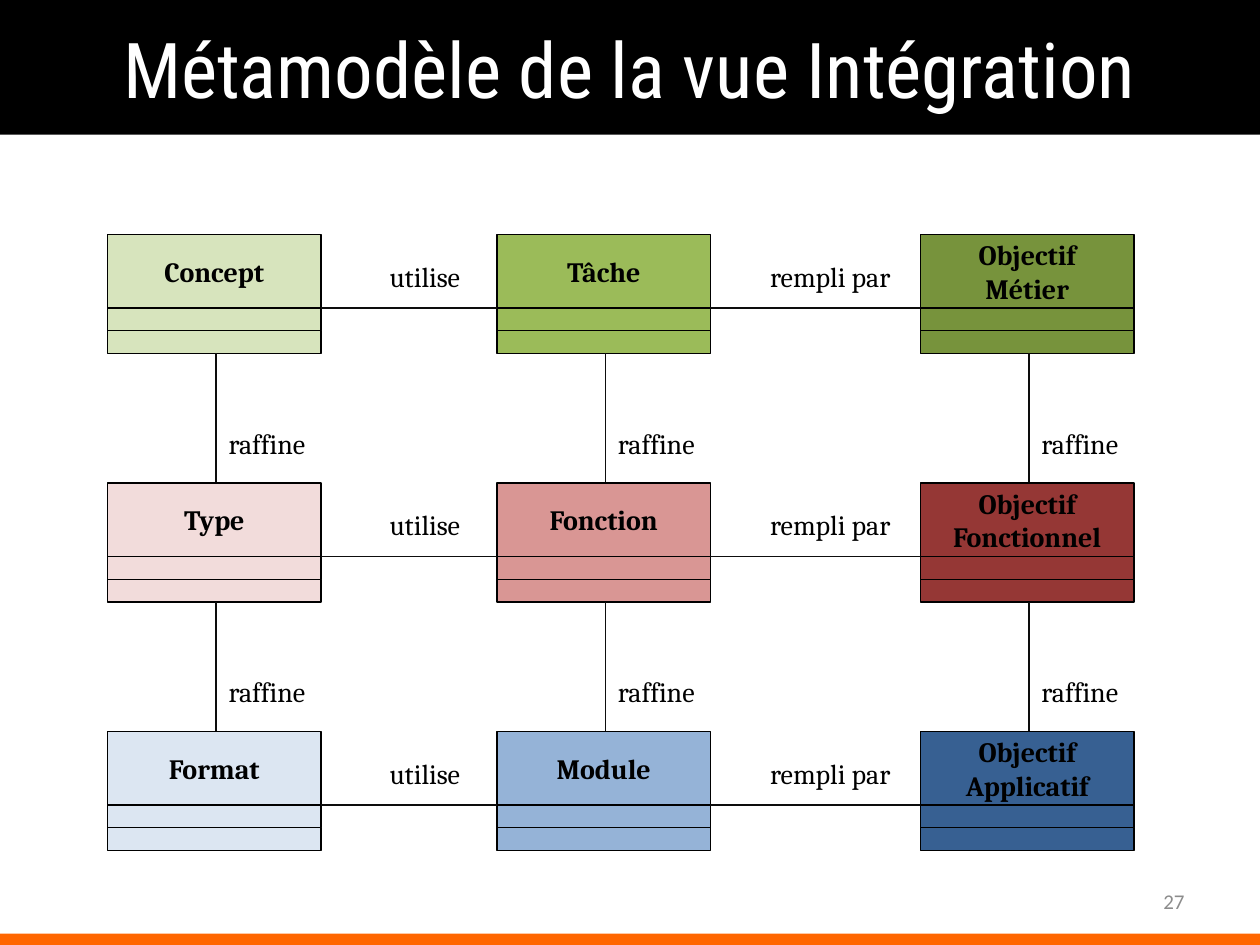
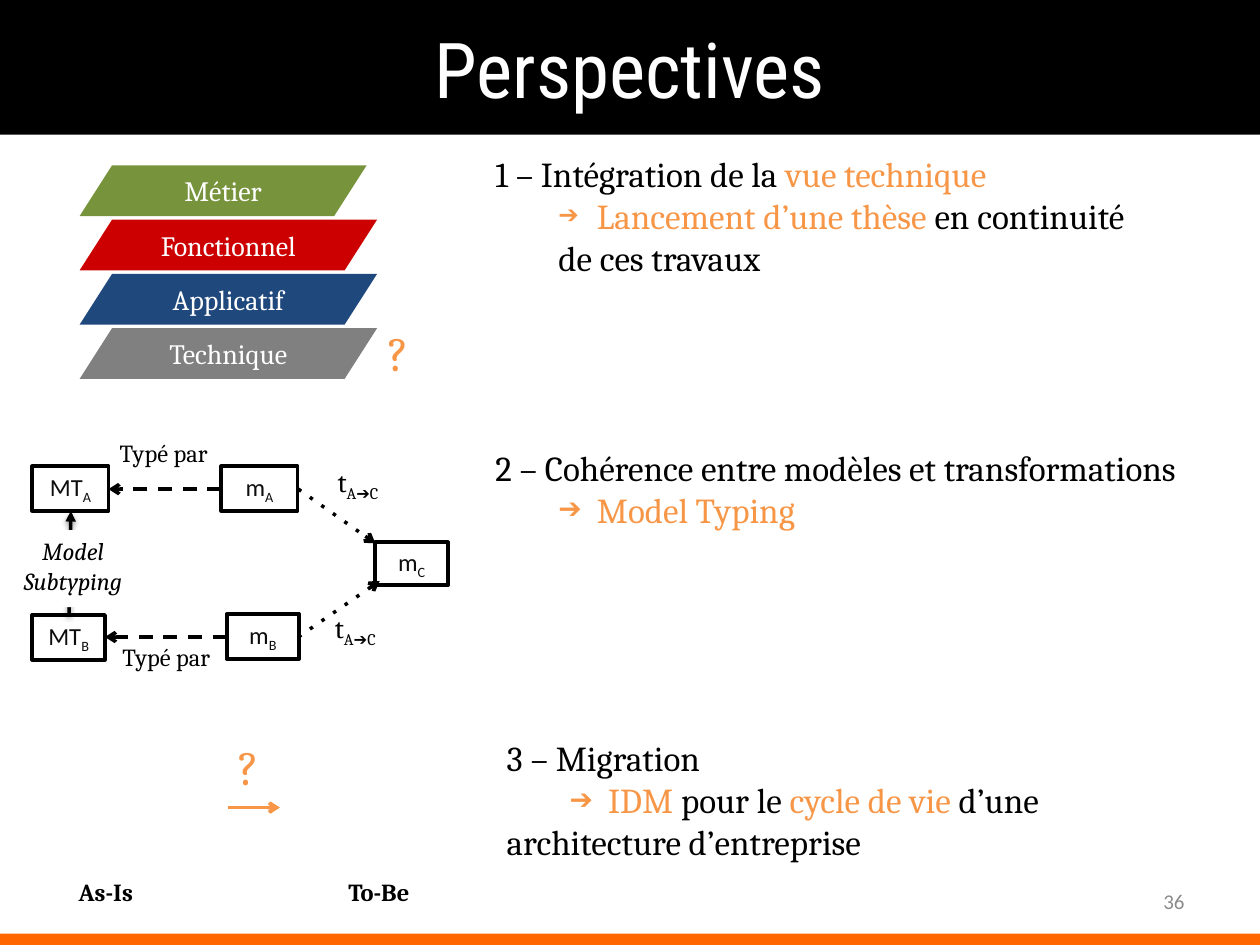
from lxml import etree
from pptx import Presentation
from pptx.dml.color import RGBColor
from pptx.enum.shapes import MSO_CONNECTOR, MSO_SHAPE
from pptx.enum.text import MSO_ANCHOR, MSO_AUTO_SIZE, PP_ALIGN
from pptx.oxml.ns import qn
from pptx.util import Pt

RECT, PARALLELOGRAM = MSO_SHAPE.RECTANGLE, MSO_SHAPE.PARALLELOGRAM
STRAIGHT = MSO_CONNECTOR.STRAIGHT
LEFT, CENTER, RIGHT = PP_ALIGN.LEFT, PP_ALIGN.CENTER, PP_ALIGN.RIGHT
TOP, MIDDLE = MSO_ANCHOR.TOP, MSO_ANCHOR.MIDDLE
NO_AUTOFIT = MSO_AUTO_SIZE.NONE

COLORS = {
    "black": "000000", "white": "FFFFFF", "ink": "0D0D0D", "number": "8C8C8C",
    "band": "FF6600", "accent": "F79646", "green": "77933C", "red": "CC0000",
    "navy": "1F497D", "gray": "808080",
}
TITLE_FONT, BODY_FONT, MODEL_FONT, SYMBOL_FONT = "Roboto Condensed", "Cambria", "Calibri", "Arial"
WIDTH, HEIGHT = 720, 540

CLASS_ROWS = [
    [("Concept", "D7E4BD"), ("Tâche", "9BBB59"), ("Objectif\nMétier", "77933C")],
    [("Type", "F2DCDB"), ("Fonction", "D99694"), ("Objectif Fonctionnel", "953735")],
    [("Format", "DCE6F2"), ("Module", "95B3D7"), ("Objectif\nApplicatif", "376092")],
]
COLUMN_LEFTS = [61.5, 284, 526]
FIRST_ROW, ROW_PITCH = 134, 142
CLASS_WIDTH, HEADER_HEIGHT, SLOT_HEIGHT = 122, 42, 13
CLASS_HEIGHT = HEADER_HEIGHT + 2 * SLOT_HEIGHT
ACROSS_LABELS = [("utilise", 154, 70), ("rempli par", 149, 90)]
DOWN_LABEL = "raffine"

LAYERS = [("Métier", "green", 164), ("Fonctionnel", "red", 170),
          ("Applicatif", "navy", 170), ("Technique", "gray", 170)]

PERSPECTIVES = [
    ((276, 83.5, 420, 80), [
        (None, [("1 – Intégration de la ", "black"), ("vue technique", "accent")]),
        (70, [("Lancement d’une thèse ", "accent"), ("en continuité", "black")]),
        (0, [("de ces travaux", "black")]),
    ]),
    ((276, 251.5, 444, 55), [
        (None, [("2 – Cohérence entre modèles et transformations", "black")]),
        (80, [("Model Typing", "accent")]),
    ]),
    ((282.5, 417.5, 413, 90), [
        (None, [("3 – Migration", "black")]),
        (80, [("IDM ", "accent"), ("pour le ", "black"),
              ("cycle de vie ", "accent"), ("d’une", "black")]),
        (None, [("architecture d’entreprise", "black")]),
    ]),
]
SUB_LEFT, BULLET_GAP = 36, 22

MODELS = [
    ("MT", "A", (18.5, 266.5, 43.5, 25.5)), ("MT", "B", (18.5, 351.5, 41.5, 25.5)),
    ("m", "A", (126.5, 266.5, 43.5, 25.5)), ("m", "B", (129.5, 351, 41.5, 25.5)),
    ("m", "C", (214.5, 310, 41.5, 24.5)),
]
MODEL_LINKS = [
    ((126.5, 279.5), (62, 279.5), "dash"), ((129.5, 364), (60, 364), "dash"),
    ((170.5, 279.5), (214.5, 310.5), "dot"), ((170.5, 364), (217, 332), "dot"),
]
TRANSFORMATIONS = [(173, 262), (171.5, 345.5)]
TYPINGS = [(54, 247), (55.5, 363.5)]
QUESTIONS = [(214.5, 180.5), (129, 417.5)]
STATES = [("As-Is", 22.5), ("To-Be", 178.5)]


def rgb(name):
    return RGBColor.from_string(COLORS.get(name, name))


def style(font, size, color, family=BODY_FONT, bold=False, italic=False):
    font.size, font.name, font.bold, font.italic = Pt(size), family, bold, italic
    font.color.rgb = rgb(color)


def write(box, text, size, color, align=LEFT, anchor=TOP, **look):
    frame = box.text_frame
    frame.word_wrap, frame.vertical_anchor = True, anchor
    frame.text = text
    for para in frame.paragraphs:
        para.alignment = align
        style(para.font, size, color, **look)
    return frame.paragraphs[0]


def add_text(page, place, text, size, color="black", **look):
    box = page.shapes.add_textbox(*map(Pt, place))
    return write(box, text, size, color, **look)


def add_box(page, place, fill=None, line=None, weight=0.75, kind=RECT):
    box = page.shapes.add_shape(kind, *map(Pt, place))
    box.shadow.inherit = False
    if fill:
        box.fill.solid()
        box.fill.fore_color.rgb = rgb(fill)
    else:
        box.fill.background()
    if line:
        box.line.color.rgb = rgb(line)
        box.line.width = Pt(weight)
    else:
        box.line.fill.background()
    return box


def add_line(page, start, end, color, weight, dash=None, arrow=None):
    line = page.shapes.add_connector(STRAIGHT, *map(Pt, start + end))
    line.line.color.rgb = rgb(color)
    line.line.width = Pt(weight)
    outline = line.line._get_or_add_ln()
    if dash:
        etree.SubElement(outline, qn("a:prstDash"), val=dash)
    if arrow:
        etree.SubElement(outline, qn("a:tailEnd"), type=arrow)
    return etree.SubElement(line._element.spPr, qn("a:effectLst"))


def add_shadow(effects):
    shadow = etree.SubElement(effects, qn("a:outerShdw"), blurRad=str(Pt(3.1)),
                              dist=str(Pt(1.6)), dir="5400000", rotWithShape="0")
    color = etree.SubElement(shadow, qn("a:srgbClr"), val=COLORS["black"])
    etree.SubElement(color, qn("a:alpha"), val="38000")


def add_subscript(para, text, family=None):
    span = para.add_run()
    span.text = text
    span.font._element.set("baseline", "-25000")
    if family:
        span.font.name = family


def indent(para, bullet_size):
    props = para._p.get_or_add_pPr()
    if not bullet_size:
        props.set("marL", str(Pt(SUB_LEFT)))
        return
    props.set("marL", str(Pt(SUB_LEFT + BULLET_GAP)))
    props.set("indent", str(-Pt(BULLET_GAP)))
    color = etree.SubElement(props, qn("a:buClr"))
    etree.SubElement(color, qn("a:srgbClr"), val=COLORS["accent"])
    etree.SubElement(props, qn("a:buSzPct"), val=str(bullet_size * 1000))
    etree.SubElement(props, qn("a:buFont"), typeface=SYMBOL_FONT)
    etree.SubElement(props, qn("a:buChar"), char="➔")


def add_page(deck, title, number):
    page = deck.slides.add_slide(deck.slide_layouts[5])
    heading = page.shapes.title
    heading.left, heading.top, heading.width, heading.height = map(Pt, (0, 0, WIDTH, 77))
    heading.fill.solid()
    heading.fill.fore_color.rgb = rgb("black")
    heading.text_frame.auto_size = NO_AUTOFIT
    write(heading, title, 44, "white", align=CENTER, anchor=MIDDLE, family=TITLE_FONT)
    add_text(page, (516, 500.5, 168, 28.5), number, 12, "number",
             align=RIGHT, anchor=MIDDLE, family=MODEL_FONT)
    add_box(page, (0, 533.5, WIDTH, HEIGHT - 533.5), "band")
    return page


def add_class(page, left, top, name, fill):
    header = add_box(page, (left, top, CLASS_WIDTH, HEADER_HEIGHT), fill, "black")
    write(header, name, 16, "black", align=CENTER, anchor=MIDDLE, bold=True)
    for slot in range(2):
        slot_top = top + HEADER_HEIGHT + slot * SLOT_HEIGHT
        add_box(page, (left, slot_top, CLASS_WIDTH, SLOT_HEIGHT), fill, "black")


def build_metamodel(deck):
    page = add_page(deck, "Métamodèle de la vue Intégration", "27")
    for row, classes in enumerate(CLASS_ROWS):
        top = FIRST_ROW + row * ROW_PITCH
        for left, (name, fill) in zip(COLUMN_LEFTS, classes):
            add_class(page, left, top, name, fill)
            if row < len(CLASS_ROWS) - 1:
                middle = left + CLASS_WIDTH / 2 + 1
                add_line(page, (middle, top + CLASS_HEIGHT), (middle, top + ROW_PITCH), "ink", 1)
                add_text(page, (middle, top + 106, 70, 26.5), DOWN_LABEL, 16)
        for column, (label, offset, width) in enumerate(ACROSS_LABELS):
            left, following = COLUMN_LEFTS[column:column + 2]
            joint = top + HEADER_HEIGHT
            add_line(page, (left + CLASS_WIDTH, joint), (following, joint), "ink", 1)
            add_text(page, (left + offset, top + 10.5, width, 26.5), label, 16)


def add_model_diagram(page):
    for name, mark, place in MODELS:
        model = add_box(page, place, line="black", weight=2.25)
        para = write(model, name, 14, "ink", align=CENTER, anchor=MIDDLE, family=MODEL_FONT)
        add_subscript(para, mark)
    add_shadow(add_line(page, (39.5, 351.5), (40.5, 292), "black", 2, arrow="triangle"))
    for start, end, dash in MODEL_LINKS:
        add_line(page, start, end, "black", 2, dash, "arrow")
    for left, top in TYPINGS:
        add_text(page, (left, top, 79, 26), "Typé par", 14, align=CENTER)
    for left, top in TRANSFORMATIONS:
        para = add_text(page, (left, top, 63, 29), "t", 16, align=CENTER)
        add_subscript(para, "A")
        add_subscript(para, "➔", SYMBOL_FONT)
        add_subscript(para, "C")
    subtyping = add_box(page, (1.5, 303, 80.5, 44), "white")
    write(subtyping, "Model Subtyping", 14, "black", align=CENTER, italic=True)


def build_perspectives(deck):
    page = add_page(deck, "Perspectives", "36")
    for index, (name, fill, width) in enumerate(LAYERS):
        layer = add_box(page, (45.5, 94.5 + 31 * index, width, 29), fill, kind=PARALLELOGRAM)
        layer.adjustments[0] = 0.64
        write(layer, name, 16, "white", align=CENTER, anchor=MIDDLE)
    add_model_diagram(page)
    for left, top in QUESTIONS:
        add_text(page, (left, top, 29, 41), "?", 28, "accent")
    add_line(page, (130.5, 461.5), (160, 461.5), "accent", 2, arrow="arrow")
    for name, left in STATES:
        add_text(page, (left, 497.5, 76, 24.5), name, 14, align=CENTER, bold=True)
    for place, lines in PERSPECTIVES:
        frame = page.shapes.add_textbox(*map(Pt, place)).text_frame
        frame.word_wrap = True
        for index, (bullet_size, spans) in enumerate(lines):
            para = frame.add_paragraph() if index else frame.paragraphs[0]
            if bullet_size is not None:
                indent(para, bullet_size)
            style(para.font, 20, "black")
            for text, color in spans:
                span = para.add_run()
                span.text = text
                span.font.color.rgb = rgb(color)


def main():
    deck = Presentation()
    deck.slide_width, deck.slide_height = Pt(WIDTH), Pt(HEIGHT)
    build_metamodel(deck)
    build_perspectives(deck)
    deck.save("out.pptx")


if __name__ == "__main__":
    main()
